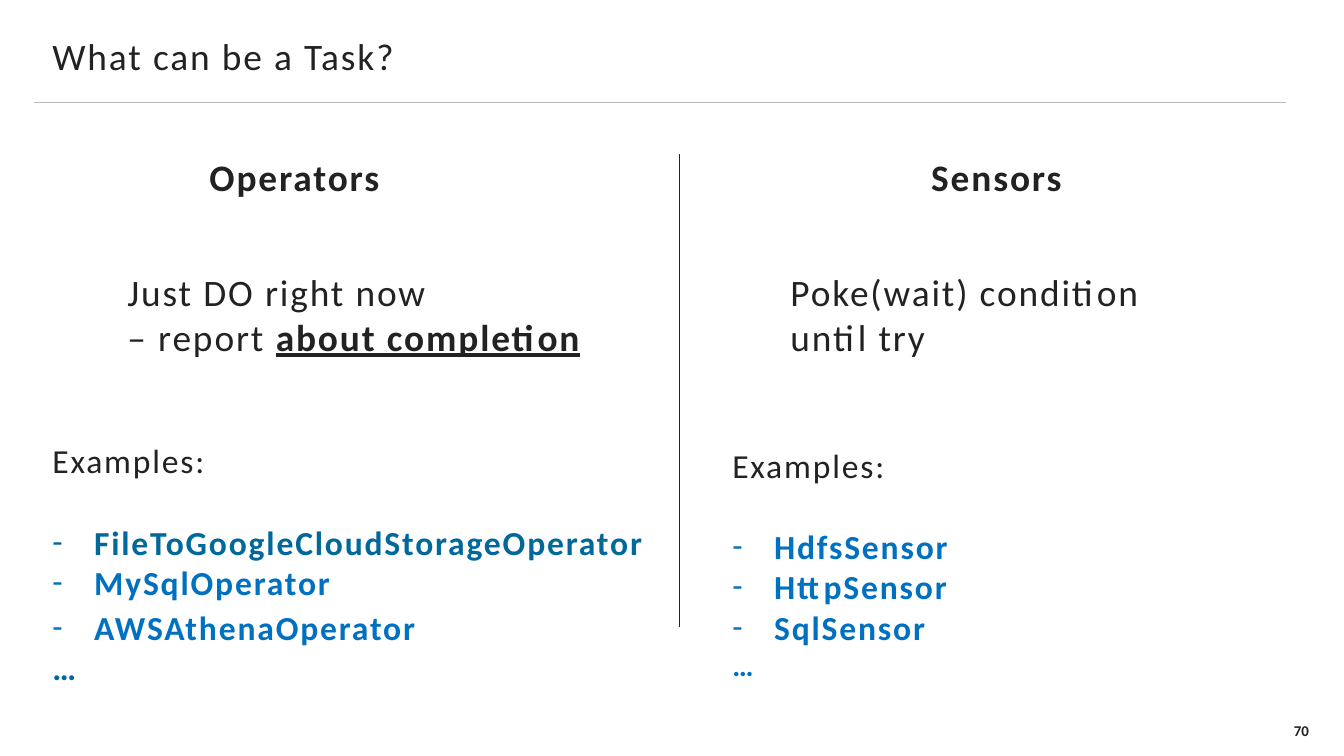
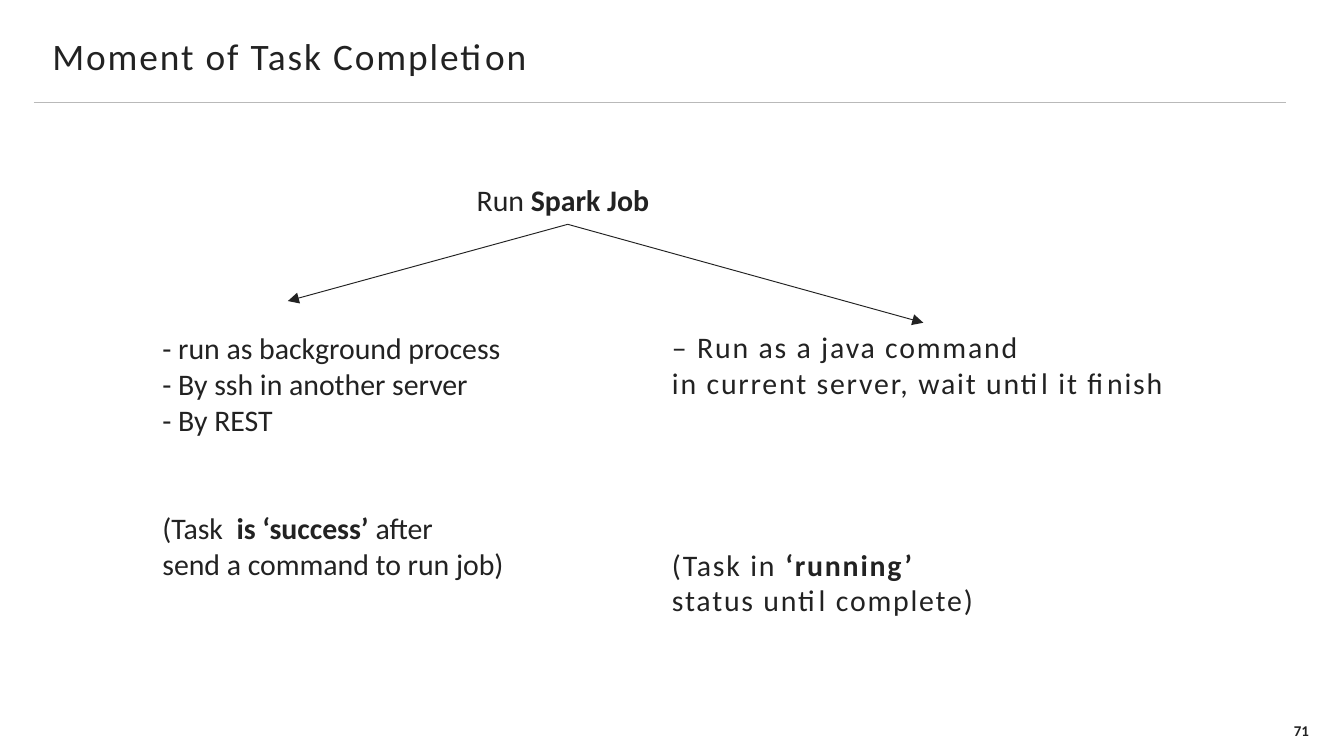
from dataclasses import dataclass

from lxml import etree
from pptx import Presentation
from pptx import util as u
from pptx.dml.color import RGBColor
from pptx.enum import shapes, text
from pptx.oxml.ns import qn

# Shared look
FONT = "Calibri"
INK, RULE, TEAL, BLUE = "222222", "B9B9B9", "00689B", "0070C0"
HAIRLINE = 0.5
FIRST_NUMBER = 70
LINE_FACTOR = 1.22  # line height of the font relative to its size
TITLE_ONLY = 5


@dataclass
class Frame:
    left: float
    top: float
    width: float
    height: float


@dataclass
class Span:
    words: str
    bold: bool = False
    underline: bool = False


@dataclass
class Para:
    spans: list[Span]
    size: float = 20
    color: str = INK
    before: float = 0
    bullet: bool = False


@dataclass
class Style:
    tracked: bool = True
    wrap: bool = False
    grow: bool = False
    middle: bool = True
    align: text.PP_ALIGN = text.PP_ALIGN.LEFT
    insets: tuple[float, float, float, float] = (0, 0.13, 0, 0.13)


@dataclass
class Column:
    heading: str
    heading_frame: Frame
    summary: list[Para]
    summary_frame: Frame
    examples: list[Para]
    examples_left: float


PLAIN_INSETS = (0.25, 0.13, 0.25, 0.13)
LABEL = Style(tracked=False, grow=True, middle=False, insets=PLAIN_INSETS)
WRAPPED = Style(tracked=False, wrap=True, grow=True, middle=False, insets=PLAIN_INSETS)
NUMBER = Style(tracked=False, align=text.PP_ALIGN.RIGHT, insets=(0.25, 0.13, 0, 0.23))


def rgb(color: str) -> RGBColor:
    return RGBColor.from_string(color)


def blank_lines(count: int, size: float) -> float:
    """Space, in points, that equals a number of empty lines."""
    return round(count * size * LINE_FACTOR, 1)


def plain(words: str, size: float = 20, before: float = 0) -> Para:
    return Para([Span(words)], size, before=before)


# Drawing helpers
def place(box, frame: Frame) -> None:
    box.left, box.top = u.Cm(frame.left), u.Cm(frame.top)
    box.width, box.height = u.Cm(frame.width), u.Cm(frame.height)


def add_dash(para) -> None:
    props = para._p.get_or_add_pPr()
    indent = u.Cm(0.79)
    props.set("marL", str(indent))
    props.set("indent", str(-indent))
    etree.SubElement(props, qn("a:buFont")).set("typeface", FONT)
    etree.SubElement(props, qn("a:buChar")).set("char", "-")


def write(box, paras: list[Para], style: Style) -> None:
    body = box.text_frame
    body.word_wrap = style.wrap
    sizing = text.MSO_AUTO_SIZE
    body.auto_size = sizing.SHAPE_TO_FIT_TEXT if style.grow else sizing.NONE
    anchor = text.MSO_ANCHOR
    body.vertical_anchor = anchor.MIDDLE if style.middle else anchor.TOP
    (body.margin_left, body.margin_top,
     body.margin_right, body.margin_bottom) = map(u.Cm, style.insets)
    for index, item in enumerate(paras):
        para = body.add_paragraph() if index else body.paragraphs[0]
        para.alignment = style.align
        para.space_before = u.Pt(item.before)
        if item.bullet:
            add_dash(para)
        for part in item.spans:
            span = para.add_run()
            span.text = part.words
            font = span.font
            font.name, font.size = FONT, u.Pt(item.size)
            font.bold, font.underline = part.bold, part.underline
            font.color.rgb = rgb(item.color)
            if style.tracked:
                span._r.get_or_add_rPr().set("spc", "100")


def add_text(page, frame: Frame, paras: list[Para], style: Style = Style()):
    box = page.shapes.add_textbox(0, 0, 0, 0)
    place(box, frame)
    write(box, paras, style)
    return box


def add_line(page, start: tuple[float, float], end: tuple[float, float],
             color: str = INK, arrow: bool = False):
    line = page.shapes.add_connector(
        shapes.MSO_CONNECTOR.STRAIGHT, *map(u.Cm, start + end))
    line.line.color.rgb = rgb(color)
    line.line.width = u.Pt(HAIRLINE)
    props = line._element.spPr
    if arrow:
        etree.SubElement(props.get_or_add_ln(), qn("a:tailEnd")).set("type", "triangle")
    etree.SubElement(props, qn("a:effectLst"))
    return line


def add_page(deck, title: str):
    page = deck.slides.add_slide(deck.slide_layouts[TITLE_ONLY])
    place(page.shapes.title, Frame(0.99, 0.64, 23.42, 0.84))
    write(page.shapes.title, [plain(title)], Style())
    add_line(page, (0.64, 1.93), (24.31, 1.93), RULE)
    number = str(FIRST_NUMBER + len(deck.slides) - 1)
    add_text(page, Frame(20.93, 13.41, 3.81, 0.89),
             [Para([Span(number, bold=True)], 8)], NUMBER)
    return page


# Operators and sensors side by side
def example(name: str, color: str = BLUE, before: float = 0) -> Para:
    return Para([Span(name, bold=True)], 18, color, before, bullet=True)


def ellipsis(size: float, color: str) -> Para:
    return Para([Span("…", bold=True)], size, color)


def build_task_kinds(deck) -> None:
    page = add_page(deck, "What can be a Task?")
    add_line(page, (12.85, 11.86), (12.85, 2.92))
    gap = blank_lines(1, 18)
    columns = [
        Column(
            "Operators", Frame(3.96, 2.92, 5.05, 0.84),
            [plain("Just DO right now"),
             Para([Span("– report "),
                   Span("about completion", bold=True, underline=True)])],
            Frame(2.41, 5.51, 7.57, 0.84),
            [example("FileToGoogleCloudStorageOperator", TEAL, gap),
             example("MySqlOperator"),
             example("AWSAthenaOperator", before=2.4),
             ellipsis(18, TEAL)],
            0.99),
        Column(
            "Sensors", Frame(17.6, 2.92, 3.18, 0.84),
            [plain("Poke(wait) condition"), plain("until try")],
            Frame(14.94, 5.51, 4.19, 0.84),
            [example("HdfsSensor", before=gap),
             example("HttpSensor"),
             example("SqlSensor"),
             ellipsis(16, BLUE)],
            13.84),
    ]
    for column in columns:
        add_text(page, column.heading_frame, [Para([Span(column.heading, bold=True)])])
        add_text(page, column.summary_frame, column.summary)
        add_text(page, Frame(column.examples_left, 9.78, 7.57, 1.75),
                 [plain("Examples:", 18), *column.examples])


# Two ways to run a job
def build_completion(deck) -> None:
    page = add_page(deck, "Moment of Task Completion")
    size = 16
    add_text(page, Frame(12.7, 6.5, 10.34, 4.9), [
        plain("– Run as a java command", size),
        plain("in current server, wait until it finish", size),
        Para([Span("(Task in "), Span("‘running’", bold=True)], size,
             before=blank_lines(4, size)),
        plain("status until complete)", size),
    ])
    job = add_text(page, Frame(8.76, 3.3, 3.94, 0.94),
                   [Para([Span("Run "), Span("Spark Job", bold=True)], size)], LABEL)
    add_text(page, Frame(2.82, 6.1, 8.18, 5.74), [
        plain("- run as background process", size),
        plain("- By ssh in another server", size),
        plain("- By REST", size),
        Para([Span("(Task  "), Span("is ‘success’ ", bold=True), Span("after")], size,
             before=blank_lines(2, size)),
        plain("send a command to run job)", size),
    ], WRAPPED)
    for end in ((5.44, 5.69), (17.45, 6.1)):
        arrow = add_line(page, (10.73, 4.24), end, arrow=True)
        arrow.begin_connect(job, 2)


def main() -> None:
    deck = Presentation()
    deck.slide_width, deck.slide_height = u.Cm(25.4), u.Cm(14.29)
    build_task_kinds(deck)
    build_completion(deck)
    deck.save("out.pptx")


if __name__ == "__main__":
    main()
